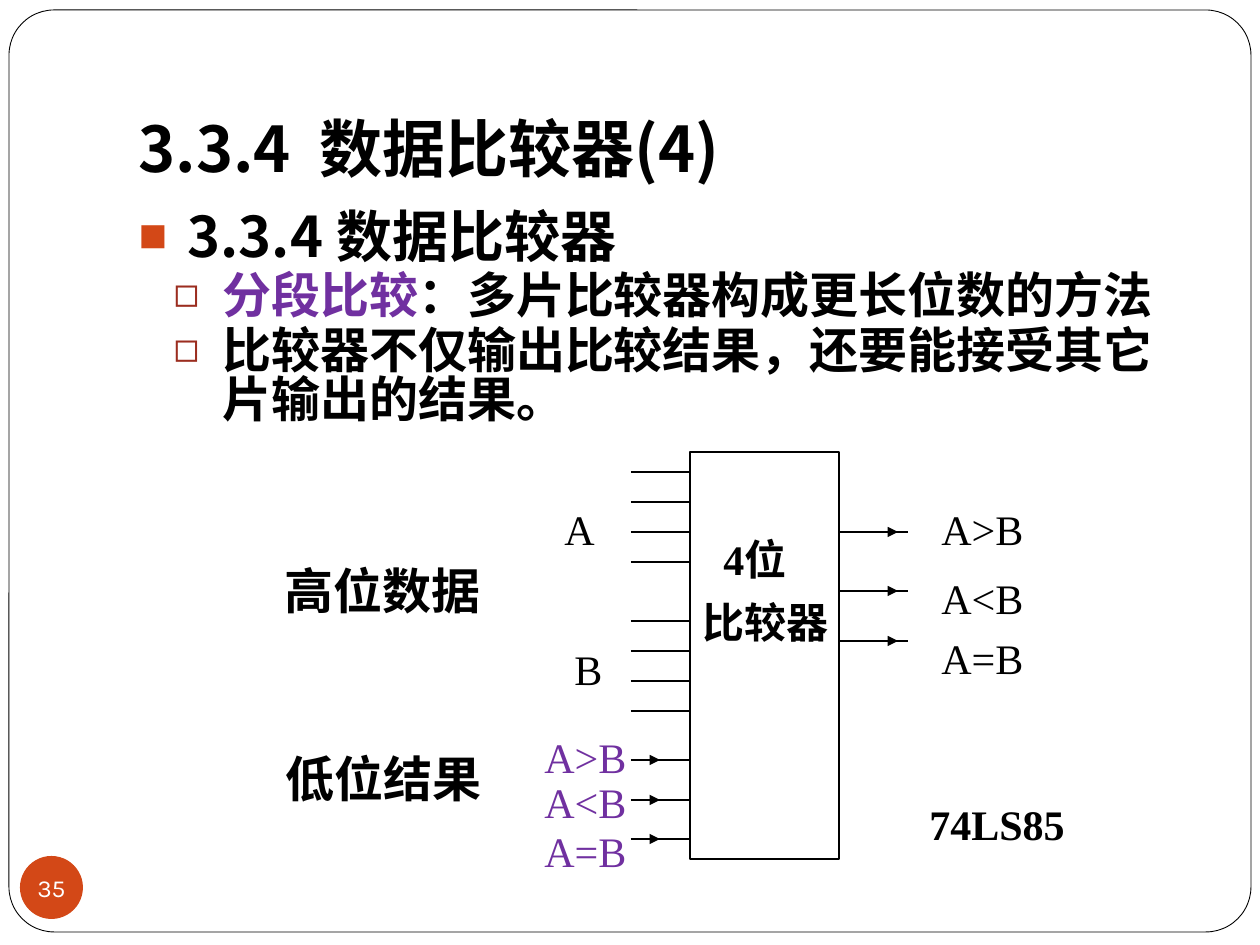
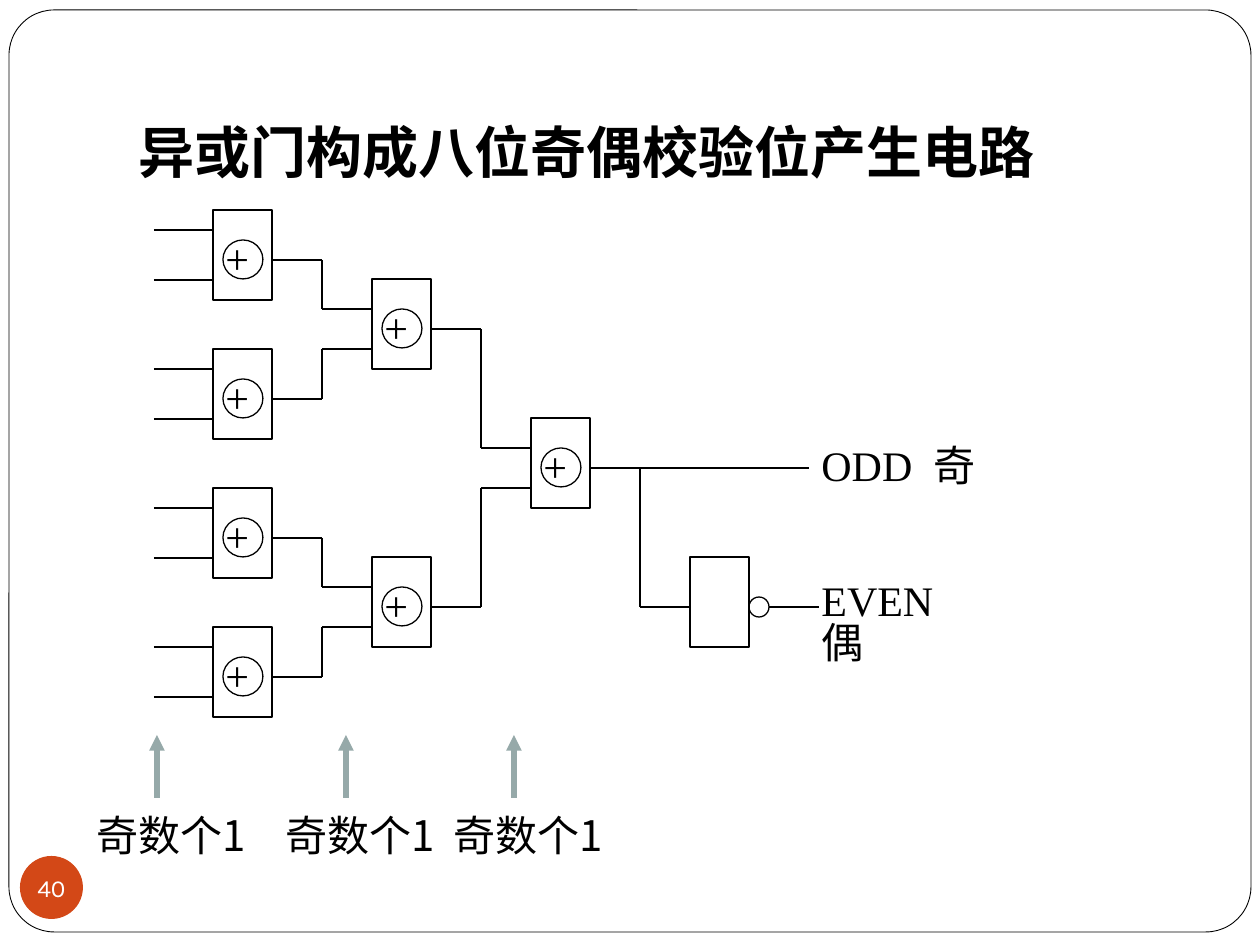
from dataclasses import dataclass
from itertools import pairwise

from lxml.etree import SubElement
from pptx import Presentation
from pptx.dml.color import RGBColor
from pptx.enum.shapes import MSO_CONNECTOR, MSO_SHAPE
from pptx.enum.text import MSO_ANCHOR, MSO_AUTO_SIZE, PP_ALIGN
from pptx.oxml.ns import qn
from pptx.util import Pt

EMU_PER_PX = 914400 / 126


@dataclass(frozen=True)
class Theme:
    black: str = "000000"
    white: str = "FFFFFF"
    purple: str = "7030A0"
    orange: str = "D34817"
    brick: str = "9B2D1F"
    grey: str = "96A9A9"
    cjk: str = "Noto Sans CJK JP"
    serif: str = "Times New Roman"
    badge_font: str = "Karla"
    label: int = 24
    heading: int = 32
    point: int = 28
    badge: int = 14
    cjk_line: float = 0.84
    thin: float = 0.75


THEME = Theme()


def px(length):
    return round(length * EMU_PER_PX)


def rgb(color):
    return RGBColor.from_string(color)


# Text

def style_run(run, size, font=THEME.cjk, color=THEME.black, bold=False):
    run.font.size = Pt(size)
    run.font.name = font
    run.font.bold = bold
    run.font.color.rgb = rgb(color)
    east_asian = SubElement(run.font._element, qn("a:ea"))
    east_asian.set("typeface", THEME.cjk)


def fill_paragraph(paragraph, text, size, gap=0, **style):
    """Write one paragraph; gap widens its first space by that many points."""
    if gap:
        for part in text.partition(" "):
            paragraph.add_run().text = part
        paragraph.runs[1].font._element.set("spc", str(gap * 100))
    else:
        paragraph.text = text
    for run in paragraph.runs:
        style_run(run, size, **style)
    if not text.isascii():
        paragraph.line_spacing = THEME.cjk_line


def add_label(slide, text, left, top, width, size=THEME.label, height=60,
              wrap=True, **style):
    box = slide.shapes.add_textbox(px(left), px(top), px(width), px(height))
    box.text_frame.word_wrap = wrap
    fill_paragraph(box.text_frame.paragraphs[0], text, size, **style)
    return box


def place(shape, left, top, width, height):
    shape.left, shape.top = px(left), px(top)
    shape.width, shape.height = px(width), px(height)


def set_title(slide, text, size, gap=0):
    title = slide.shapes.title
    place(title, 126, 41, 1071, 157)
    frame = title.text_frame
    frame.auto_size = MSO_AUTO_SIZE.NONE
    frame.vertical_anchor = MSO_ANCHOR.BOTTOM
    frame.margin_bottom = px(13)
    frame.paragraphs[0].alignment = PP_ALIGN.LEFT
    fill_paragraph(frame.paragraphs[0], text, size, gap, bold=True)


def set_bullet(paragraph, character, color, indent):
    properties = paragraph._p.get_or_add_pPr()
    properties.set("marL", str(px(indent)))
    properties.set("indent", str(px(-49)))
    bullet_color = SubElement(properties, qn("a:buClr"))
    SubElement(bullet_color, qn("a:srgbClr")).set("val", color)
    SubElement(properties, qn("a:buSzPct")).set("val", "85000")
    SubElement(properties, qn("a:buChar")).set("char", character)


def set_points(slide, heading, points):
    body = slide.placeholders[1]
    place(body, 126, 206, 1071, 630)
    frame = body.text_frame
    frame.auto_size = MSO_AUTO_SIZE.NONE
    frame.text = "\n".join([heading, *points])
    first, *others = frame.paragraphs
    fill_paragraph(first, heading, THEME.heading, bold=True)
    first.space_before = Pt(0)
    set_bullet(first, "■", THEME.orange, 49)
    for paragraph, text in zip(others, points):
        paragraph.level = 1
        fill_paragraph(paragraph, text, THEME.point, bold=True)
        paragraph.space_before = Pt(3)
        set_bullet(paragraph, "◻", THEME.brick, 84)
    return others


def highlight_start(paragraph, count):
    """Colour the first characters of a paragraph."""
    run = paragraph.runs[0]
    text = run.text
    run.text = text[:count]
    run.font.color.rgb = rgb(THEME.purple)
    rest = paragraph.add_run()
    rest.text = text[count:]
    style_run(rest, THEME.point, bold=True)


# Shapes and lines

def add_outline(slide, kind, left, top, width, height, weight=THEME.thin, fill=None):
    shape = slide.shapes.add_shape(kind, px(left), px(top), px(width), px(height))
    shape.shadow.inherit = False
    if fill:
        shape.fill.solid()
        shape.fill.fore_color.rgb = rgb(fill)
    else:
        shape.fill.background()
    shape.line.color.rgb = rgb(THEME.black)
    shape.line.width = Pt(weight)
    return shape


def add_line(slide, start, end, arrow=False, color=THEME.black, weight=THEME.thin):
    line = slide.shapes.add_connector(
        MSO_CONNECTOR.STRAIGHT, *(px(value) for value in (*start, *end)))
    line.line.color.rgb = rgb(color)
    line.line.width = Pt(weight)
    properties = line.element.spPr
    if arrow:
        SubElement(properties.find(qn("a:ln")), qn("a:tailEnd")).set("type", "triangle")
    SubElement(properties, qn("a:effectLst"))


def add_wire(slide, *corners):
    for start, end in pairwise(corners):
        add_line(slide, start, end)


# Shared parts

def add_master_frame(presentation, slide):
    frame = add_outline(slide, MSO_SHAPE.ROUNDED_RECTANGLE, 9, 10, 1242, 922,
                        weight=0.5, fill=THEME.white)
    frame.adjustments[0] = 0.049
    frame.element.nvSpPr.cNvPr.set("id", "99")
    presentation.slide_master.shapes.element.insert(2, frame.element)


def add_page_badge(slide, number):
    badge = add_outline(slide, MSO_SHAPE.OVAL, 20, 856, 63, 63, fill=THEME.orange)
    badge.line.fill.background()
    frame = badge.text_frame
    frame.word_wrap = False
    frame.vertical_anchor = MSO_ANCHOR.MIDDLE
    frame.margin_left = frame.margin_right = 0
    frame.margin_top = frame.margin_bottom = 0
    frame.paragraphs[0].alignment = PP_ALIGN.CENTER
    fill_paragraph(frame.paragraphs[0], str(number), THEME.badge,
                   font=THEME.badge_font, color=THEME.white)


# Comparator slide

def draw_comparator(slide):
    chip_left, chip_right, pin_left, pin_right = 690, 839, 631, 908
    add_outline(slide, MSO_SHAPE.RECTANGLE, chip_left, 452, 149, 407, fill=THEME.white)

    # Data inputs A and B, four pins each
    for first_pin in (472, 621):
        for bit in range(4):
            y = first_pin + 30 * bit
            add_line(slide, (pin_left, y), (chip_left, y))
    add_label(slide, "A", 552, 497, 79, font=THEME.serif)
    add_label(slide, "B", 562, 637, 45, wrap=False, font=THEME.serif)

    # Results out, and results in from the lower chip
    relations = ("A>B", "A<B", "A=B")
    for relation, y, top in zip(relations, (532, 591, 641), (497, 566, 626)):
        add_line(slide, (chip_right, y), (pin_right, y))
        add_line(slide, (869, y), (898, y), arrow=True)
        add_label(slide, relation, 929, top, 118, font=THEME.serif)
    for relation, y, top in zip(relations, (760, 800, 839), (725, 770, 819)):
        add_line(slide, (pin_left, y), (chip_left, y))
        add_line(slide, (pin_left, y), (660, y), arrow=True)
        add_label(slide, relation, 532, top, 118, font=THEME.serif, color=THEME.purple)

    # Names
    name = add_label(slide, "4位", chip_left, 535, 159, height=130,
                     font=THEME.serif, bold=True)
    name.text_frame.paragraphs[0]._p.get_or_add_pPr().set("marL", str(px(21)))
    second_line = name.text_frame.add_paragraph()
    fill_paragraph(second_line, "比较器", THEME.label, font=THEME.serif, bold=True)
    second_line.space_before = Pt(12)
    add_label(slide, "74LS85", 917, 792, 189, font=THEME.serif, bold=True)
    add_label(slide, "低位结果", 273, 752, 223, THEME.point, wrap=False, bold=True)
    add_label(slide, "高位数据", 272, 564, 223, THEME.point, wrap=False, bold=True)


# Parity slide

GATE_WIDTH, GATE_HEIGHT, HALF_WIRE, OUTPUT_DROP = 59, 90, 50, 50


def gate_corner(stage, row):
    left = 213 + (GATE_WIDTH + 2 * HALF_WIRE) * stage
    top = 210 + 139 * ((2 * row + 1) * 2 ** stage - 1) // 2
    return left, top


def add_xor_gate(slide, left, top):
    add_outline(slide, MSO_SHAPE.RECTANGLE, left, top, GATE_WIDTH, GATE_HEIGHT)
    add_outline(slide, MSO_SHAPE.OVAL, left + 10, top + 30, 40, 39)
    add_label(slide, "+", left, top + 16, GATE_WIDTH, font=THEME.serif)


def draw_parity_tree(slide):
    for stage, gate_count in enumerate((4, 2, 1)):
        for row in range(gate_count):
            left, top = gate_corner(stage, row)
            add_xor_gate(slide, left, top)
            if stage == 0:
                for y in (top + 20, top + 70):
                    add_line(slide, (154, y), (left, y))
            if stage < 2:
                next_left, next_top = gate_corner(stage + 1, row // 2)
                middle = left + GATE_WIDTH + HALF_WIRE
                output, entry = top + OUTPUT_DROP, next_top + (30, 70)[row % 2]
                add_wire(slide, (left + GATE_WIDTH, output), (middle, output),
                         (middle, entry), (next_left, entry))


def draw_parity_outputs(slide):
    left, top = gate_corner(2, 0)
    right, odd_y, even_y = left + GATE_WIDTH, top + OUTPUT_DROP, 607
    branch = right + HALF_WIRE
    inverter = branch + HALF_WIRE
    bubble = inverter + GATE_WIDTH
    add_line(slide, (right, odd_y), (809, odd_y))
    add_wire(slide, (branch, odd_y), (branch, even_y), (inverter, even_y))
    add_outline(slide, MSO_SHAPE.RECTANGLE, inverter, 557, GATE_WIDTH, GATE_HEIGHT)
    add_outline(slide, MSO_SHAPE.OVAL, bubble, even_y - 10, 20, 20)
    add_line(slide, (bubble + 20, even_y), (819, even_y))
    add_label(slide, "ODD 奇", 809, 441, 208, gap=6, font=THEME.serif)
    add_label(slide, "EVEN\v偶", 809, 576, 208, height=110, font=THEME.serif)


def add_odd_count_note(slide, x):
    add_line(slide, (x, 798), (x, 735), arrow=True, color=THEME.grey, weight=3)
    add_label(slide, "奇数个1", x - 73, 811, 179, height=110)


def main():
    presentation = Presentation()
    presentation.slide_width, presentation.slide_height = px(1260), px(945)
    layouts = presentation.slide_layouts

    # Comparator
    slide = presentation.slides.add_slide(layouts[1])
    add_master_frame(presentation, slide)
    set_title(slide, "3.3.4 数据比较器(4)", 36, gap=8)
    points = set_points(slide, "3.3.4 数据比较器", (
        "分段比较：多片比较器构成更长位数的方法",
        "比较器不仅输出比较结果，还要能接受其它片输出的结果。"))
    highlight_start(points[0], 4)
    draw_comparator(slide)
    add_page_badge(slide, 35)

    # Parity generator
    slide = presentation.slides.add_slide(layouts[5])
    set_title(slide, "异或门构成八位奇偶校验位产生电路", THEME.heading)
    draw_parity_tree(slide)
    draw_parity_outputs(slide)
    for x in (157, 346, 514):
        add_odd_count_note(slide, x)
    add_page_badge(slide, 40)

    presentation.save("out.pptx")


if __name__ == "__main__":
    main()
